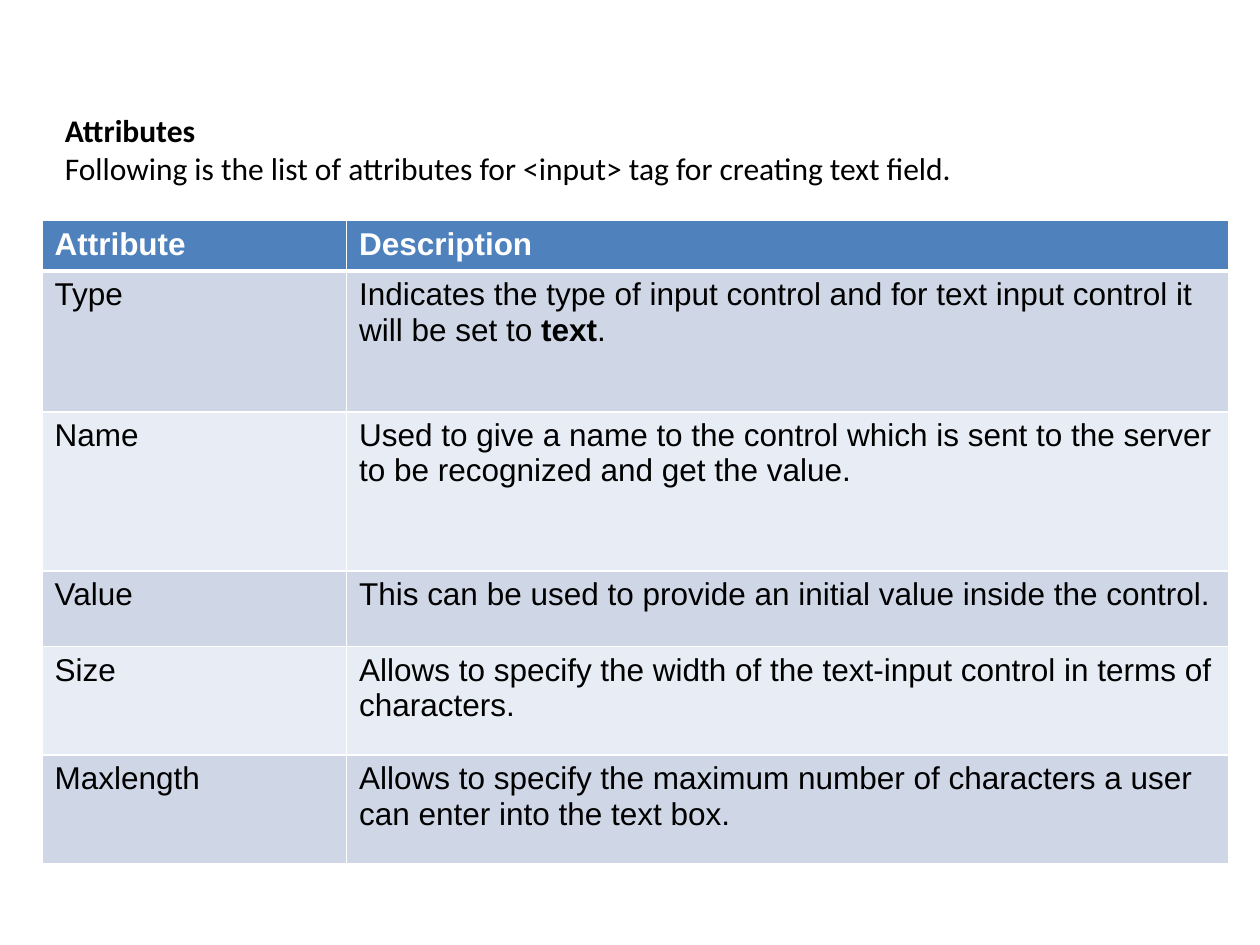
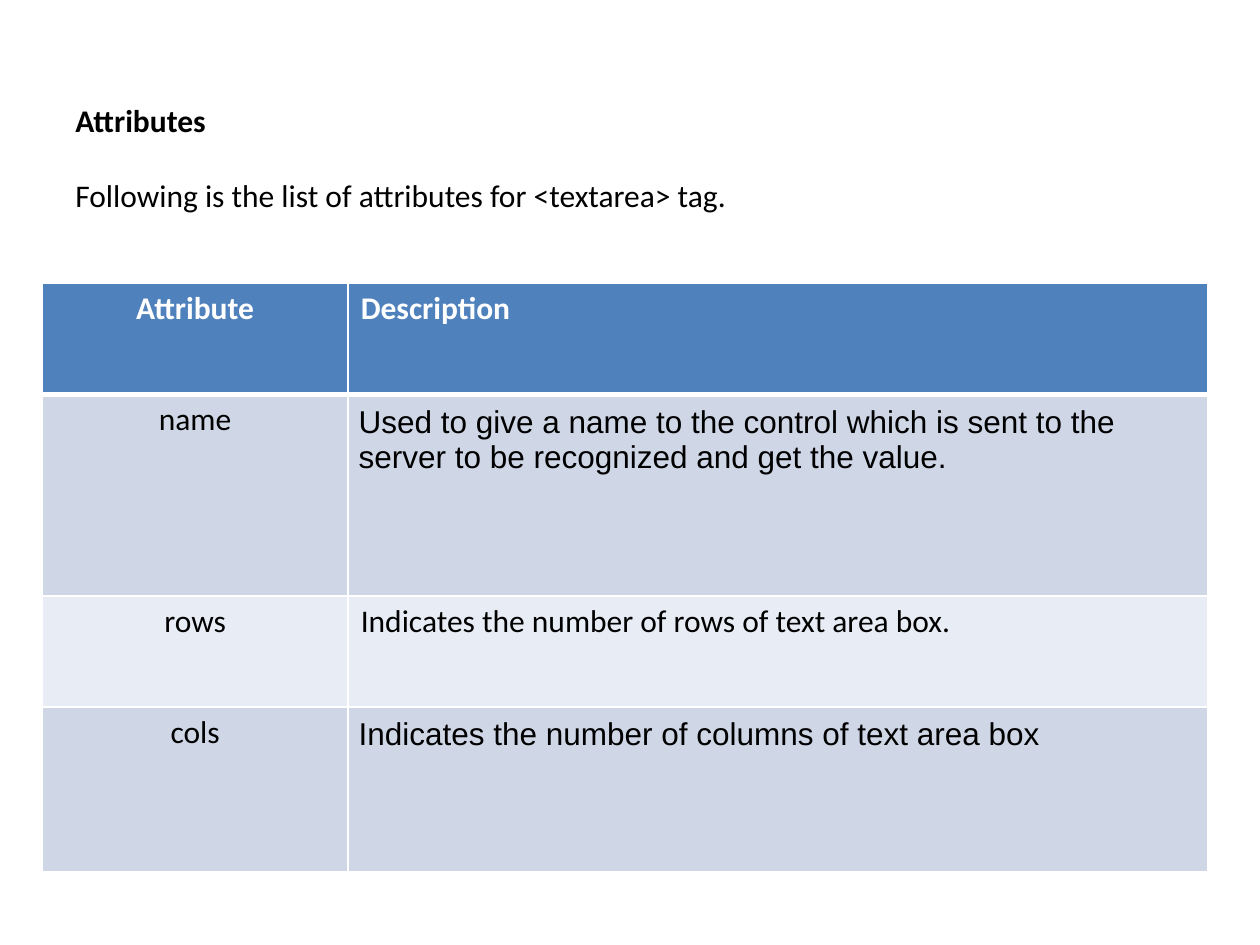
from dataclasses import dataclass

from lxml import etree
from pptx import Presentation
from pptx.dml.color import RGBColor
from pptx.enum import text
from pptx.oxml import ns
from pptx.util import Pt


@dataclass(frozen=True)
class Theme:
    header: str = "4F81BD"
    bands: tuple = ("CFD7E7", "E8ECF4")
    ink: str = "000000"
    white: str = "FFFFFF"
    size: int = 18
    line: int = 1
    header_line: int = 3
    sans: str = "Arial"
    body: str = "Calibri"


THEME = Theme()
WIDE = (7.2, 3.6)  # cell margins: sides, top and bottom
EVEN = (6, 6)
USED_FOR_NAME = ("Used to give a name to the control which is sent "
                 "to the server to be recognized and get the value.")


# Text
def style_run(r, font, color=THEME.ink, bold=False):
    r.font.name = font
    r.font.size = Pt(THEME.size)
    r.font.bold = bold
    r.font.color.rgb = RGBColor.from_string(color)


def add_intro(slide, left, top, width, height, sentence, gap=0):
    """Bold heading with one sentence under it."""
    tf = slide.shapes.add_textbox(Pt(left), Pt(top), Pt(width), Pt(height)).text_frame
    tf.word_wrap = True
    tf.text = f"Attributes\n{sentence}"
    heading, line = tf.paragraphs
    line.space_before = Pt(gap)
    style_run(heading.runs[0], THEME.body, bold=True)
    style_run(line.runs[0], THEME.body)


# Table cells
def set_borders(cell, below_header, is_header):
    tc_pr = cell._tc.get_or_add_tcPr()
    widths = {
        "lnL": THEME.line,
        "lnR": THEME.line,
        "lnT": THEME.header_line if below_header else THEME.line,
        "lnB": THEME.header_line if is_header else THEME.line,
    }
    for i, (tag, width) in enumerate(widths.items()):
        ln = etree.Element(ns.qn(f"a:{tag}"), w=str(Pt(width)))
        fill = etree.SubElement(ln, ns.qn("a:solidFill"))
        etree.SubElement(fill, ns.qn("a:srgbClr"), val=THEME.white)
        tc_pr.insert(i, ln)


def fill_cell(cell, row, content, font, margins, align):
    """Content is a string, or (words, bold) pairs."""
    is_header = row == 0
    color = THEME.header if is_header else THEME.bands[(row - 1) % 2]
    cell.fill.solid()
    cell.fill.fore_color.rgb = RGBColor.from_string(color)
    set_borders(cell, row == 1, is_header)
    cell.margin_left = cell.margin_right = Pt(margins[0])
    cell.margin_top = cell.margin_bottom = Pt(margins[1])
    p = cell.text_frame.paragraphs[0]
    p.alignment = align
    parts = [(content, is_header)] if isinstance(content, str) else content
    for words, bold in parts:
        r = p.add_run()
        r.text = words
        style_run(r, font, THEME.white if is_header else THEME.ink, bold)


def add_attribute_table(slide, top, widths, rows, name_font, name_align):
    """Each row: height, attribute, description, description font, margins."""
    left = 24
    table = slide.shapes.add_table(
        len(rows), 2, Pt(left), Pt(top), Pt(sum(widths)),
        Pt(sum(row[0] for row in rows))).table
    for column, width in zip(table.columns, widths):
        column.width = Pt(width)
    for i, (height, name, description, font, margins) in enumerate(rows):
        table.rows[i].height = Pt(height)
        fill_cell(table.cell(i, 0), i, name, name_font, WIDE, name_align)
        fill_cell(table.cell(i, 1), i, description, font, margins,
                  text.PP_ALIGN.LEFT)


# Slides
def build_input_slide(slide):
    add_intro(slide, 30, 60, 612, 51,
              "Following is the list of attributes for <input> tag "
              "for creating text field.")
    type_text = [("Indicates the type of input control and for text input "
                  "control it will be set to ", False),
                 ("text", True), (".", False)]
    entries = [
        (28, "Attribute", "Description"),
        (80.5, "Type", type_text),
        (91, "Name", USED_FOR_NAME),
        (43.2, "Value",
         "This can be used to provide an initial value inside the control."),
        (62, "Size", "Allows to specify the width of the text-input control "
                     "in terms of characters."),
        (62, "Maxlength", "Allows to specify the maximum number of characters "
                          "a user can enter into the text box."),
    ]
    rows = [(*entry, THEME.sans, WIDE) for entry in entries]
    add_attribute_table(slide, 126, (174, 504), rows, THEME.sans,
                        text.PP_ALIGN.LEFT)


def build_textarea_slide(slide):
    add_intro(slide, 36, 54, 654, 101.5,
              "Following is the list of attributes for <textarea> tag.", gap=21.6)
    rows = [
        (63.5, "Attribute", "Description", THEME.body, WIDE),
        (115, "name", USED_FOR_NAME, THEME.sans, EVEN),
        (63.5, "rows", "Indicates the number of rows of text area box.",
         THEME.body, WIDE),
        (94, "cols", "Indicates the number of columns of text area box",
         THEME.sans, EVEN),
    ]
    add_attribute_table(slide, 162, (175, 491), rows, THEME.body,
                        text.PP_ALIGN.CENTER)


def main():
    prs = Presentation()
    prs.slide_width, prs.slide_height = Pt(720), Pt(540)
    blank = prs.slide_layouts[6]
    for build in (build_input_slide, build_textarea_slide):
        build(prs.slides.add_slide(blank))
    prs.save("out.pptx")


if __name__ == "__main__":
    main()
